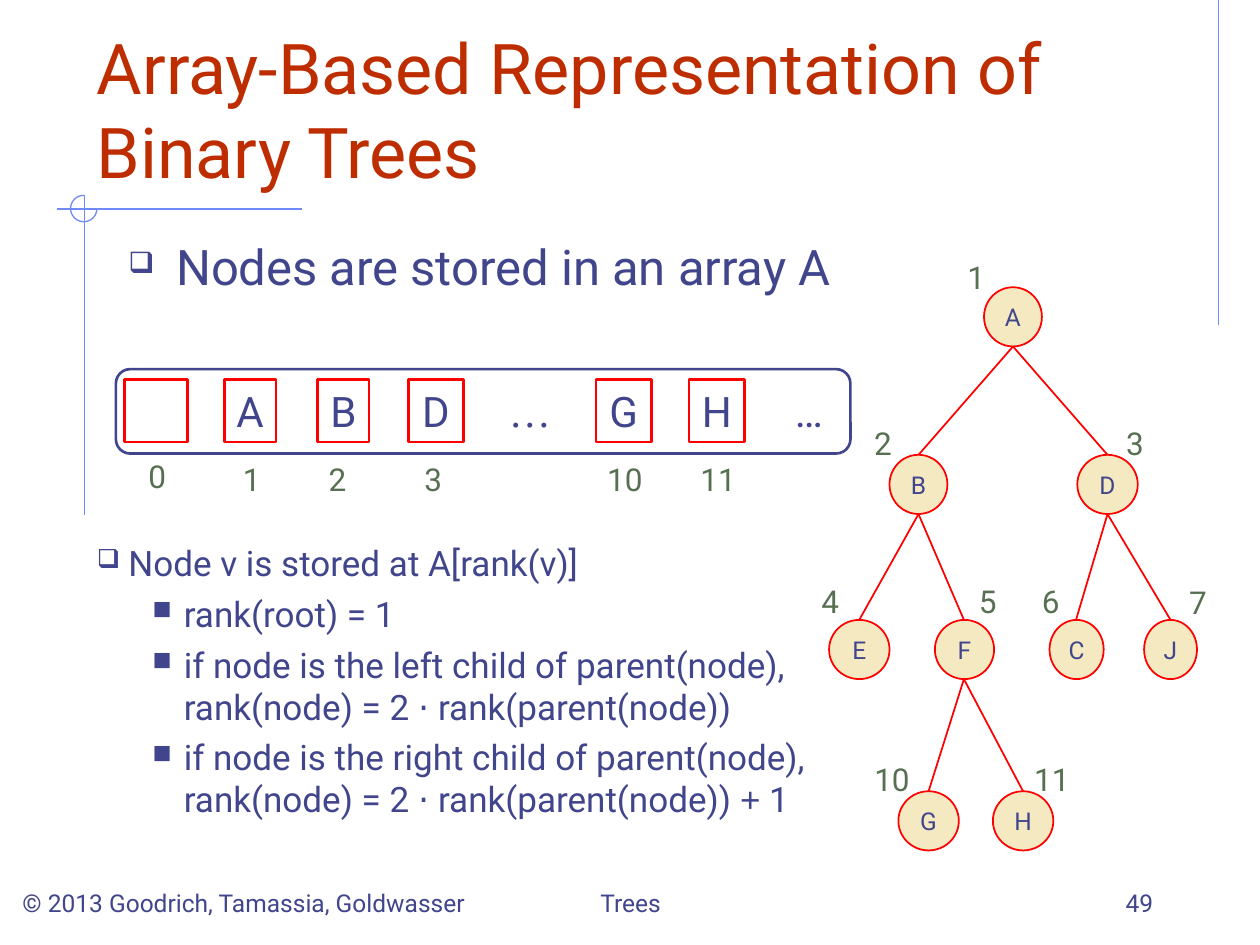
from dataclasses import dataclass
from typing import NamedTuple, Optional

from lxml.etree import SubElement
from pptx import Presentation
from pptx.dml.color import RGBColor as Color
from pptx.enum.shapes import MSO_CONNECTOR as Connector, MSO_SHAPE as Preset
from pptx.enum.text import MSO_ANCHOR as Anchor, PP_ALIGN as Align
from pptx.oxml.ns import qn
from pptx.util import Pt

EMU_PER_PX = 9144


@dataclass(frozen=True)
class Theme:
    title: str = "BE2D00"
    ink: str = "40458C"
    rank: str = "577052"
    rule: str = "6F89F7"
    edge: str = "FF0000"
    node: str = "F4E9C1"
    font: str = "Roboto"
    symbol_font: str = "Arial"
    serif_font: str = "Times New Roman"
    title_size: int = 40
    heading_size: int = 28
    cell_size: int = 24
    body_size: int = 20
    rank_size: int = 18
    small_size: int = 14


THEME = Theme()


class Box(NamedTuple):
    left: int
    top: int
    width: int
    height: int


class Style(NamedTuple):
    size: int
    color: str = THEME.ink
    align: Align = Align.LEFT
    anchor: Anchor = Anchor.TOP
    wrap: bool = True


class Bullet(NamedTuple):
    mark: str
    margin: int
    hanging: int
    percent: int


class TextRun(NamedTuple):
    text: str
    font: str = THEME.font


class Item(NamedTuple):
    bullet: Bullet
    lines: list[list[TextRun]]


class TreeNode(NamedTuple):
    rank: int
    letter: str
    box: Box
    label_left: int
    label_top: int


class Cell(NamedTuple):
    text: str
    left: int
    width: int
    rank: Optional[int] = None
    rank_left: int = 0
    font: str = THEME.font


def px(length: int) -> int:
    return length * EMU_PER_PX


def add_run(paragraph, run: TextRun, style: Style) -> None:
    text_run = paragraph.add_run()
    text_run.text = run.text
    text_run.font.name = run.font
    text_run.font.size = Pt(style.size)
    text_run.font.color.rgb = Color.from_string(style.color)


def prepare_frame(shape, style: Style):
    frame = shape.text_frame
    frame.word_wrap = style.wrap
    frame.vertical_anchor = style.anchor
    frame.paragraphs[0].alignment = style.align
    return frame


def write(shape, run: TextRun, style: Style) -> None:
    add_run(prepare_frame(shape, style).paragraphs[0], run, style)


def add_text(slide, box: Box, run: TextRun, style: Style) -> None:
    write(slide.shapes.add_textbox(*map(px, box)), run, style)


def set_bullet(paragraph, bullet: Bullet) -> None:
    properties = paragraph._p.get_or_add_pPr()
    properties.set("marL", str(px(bullet.margin)))
    properties.set("indent", str(-px(bullet.hanging)))
    color = SubElement(properties, qn("a:buClr"))
    SubElement(color, qn("a:srgbClr"), val=THEME.ink)
    SubElement(properties, qn("a:buSzPct"), val=str(bullet.percent * 1000))
    SubElement(properties, qn("a:buChar"), char=bullet.mark)


def add_list(slide, box: Box, items: list[Item], style: Style) -> None:
    frame = prepare_frame(slide.shapes.add_textbox(*map(px, box)), style)
    for position, item in enumerate(items):
        paragraph = frame.add_paragraph() if position else frame.paragraphs[0]
        set_bullet(paragraph, item.bullet)
        if position:
            paragraph.level = 1
            paragraph.space_before = Pt(5)
        for number, line in enumerate(item.lines):
            if number:
                paragraph.add_line_break()
            for run in line:
                add_run(paragraph, run, style)


def add_outline(slide, preset: Preset, box: Box, color: str, weight: float, fill: Optional[str] = None):
    shape = slide.shapes.add_shape(preset, *map(px, box))
    shape.shadow.inherit = False
    shape.line.color.rgb = Color.from_string(color)
    shape.line.width = Pt(weight)
    if fill:
        shape.fill.solid()
        shape.fill.fore_color.rgb = Color.from_string(fill)
    else:
        shape.fill.background()
    return shape


def add_line(slide, start: tuple[int, int], end: tuple[int, int], color: str, weight: float) -> None:
    line = slide.shapes.add_connector(Connector.STRAIGHT, *map(px, start + end))
    line.line.color.rgb = Color.from_string(color)
    line.line.width = Pt(weight)
    SubElement(line._element.spPr, qn("a:effectLst"))


def add_rank(slide, rank: int, left: int, top: int) -> None:
    width = 20 + 14 * len(str(rank))
    style = Style(THEME.rank_size, THEME.rank, wrap=False)
    add_text(slide, Box(left, top, width, 40), TextRun(str(rank)), style)


def add_tree(slide, nodes: list[TreeNode]) -> None:
    boxes = {node.rank: node.box for node in nodes}
    style = Style(THEME.small_size, align=Align.CENTER, anchor=Anchor.MIDDLE, wrap=False)
    for node in nodes:
        ellipse = add_outline(slide, Preset.OVAL, node.box, THEME.edge, 1, THEME.node)
        write(ellipse, TextRun(node.letter), style)
        add_rank(slide, node.rank, node.label_left, node.label_top)
        parent = boxes.get(node.rank // 2)
        if parent:
            start = (parent.left + parent.width // 2, parent.top + parent.height)
            end = (node.box.left + node.box.width // 2, node.box.top)
            add_line(slide, start, end, THEME.edge, 1)


def add_array(slide, cells: list[Cell]) -> None:
    frame = add_outline(slide, Preset.ROUNDED_RECTANGLE, Box(92, 293, 583, 67), THEME.ink, 1.5)
    frame.adjustments[0] = 0.17
    style = Style(THEME.cell_size, align=Align.CENTER, anchor=Anchor.MIDDLE, wrap=False)
    for cell in cells:
        box = Box(cell.left, 301, cell.width, 50)
        run = TextRun(cell.text, cell.font)
        if cell.rank is None:
            add_text(slide, box, run, style)
            continue
        square = add_outline(slide, Preset.RECTANGLE, box, THEME.edge, 1.5)
        if cell.text:
            write(square, run, style)
        add_rank(slide, cell.rank, cell.rank_left, 360 if cell.rank else 358)


def add_ornament(slide) -> None:
    for start, end in [((967, 0), (967, 258)), ((240, 166), (45, 166)), ((67, 155), (67, 409))]:
        add_line(slide, start, end, THEME.rule, 0.75)
    arc = add_outline(slide, Preset.ARC, Box(56, 155, 21, 21), THEME.rule, 0.75)
    arc.adjustments[0] = 0
    arc.adjustments[1] = 162


NODES = [
    TreeNode(1, "A", Box(781, 228, 46, 47), 758, 200),
    TreeNode(2, "B", Box(706, 361, 46, 47), 684, 332),
    TreeNode(3, "D", Box(855, 361, 48, 47), 884, 332),
    TreeNode(4, "E", Box(658, 492, 48, 47), 642, 457),
    TreeNode(5, "F", Box(742, 492, 47, 47), 767, 457),
    TreeNode(6, "C", Box(833, 492, 43, 47), 817, 457),
    TreeNode(7, "J", Box(908, 492, 42, 47), 934, 458),
    TreeNode(10, "G", Box(713, 628, 48, 47), 684, 598),
    TreeNode(11, "H", Box(788, 628, 48, 47), 811, 598),
]
CELLS = [
    Cell("", 99, 50, 0, 108),
    Cell("A", 178, 41, 1, 183),
    Cell("B", 252, 41, 2, 251),
    Cell("D", 324, 44, 3, 327),
    Cell("…", 394, 53, font=THEME.serif_font),
    Cell("G", 473, 44, 10, 472),
    Cell("H", 547, 44, 11, 546),
    Cell("…", 619, 46),
]
HEADING_BULLET = Bullet("❑", 38, 38, 60)
RULE_BULLET = Bullet("❑", 25, 25, 75)
CASE_BULLET = Bullet("■", 69, 25, 75)
DOT = TextRun("⋅", THEME.symbol_font)
DOUBLE = [TextRun("rank(node) = 2 "), DOT]
HEADING = [Item(HEADING_BULLET, [[TextRun("Nodes are stored in an array A")]])]
RULES = [
    Item(RULE_BULLET, [[TextRun("Node v is stored at A[rank(v)]")]]),
    Item(CASE_BULLET, [[TextRun("rank(root) = 1")]]),
    Item(CASE_BULLET, [[TextRun("if node is the left child of parent(node),")],
                       DOUBLE + [TextRun(" rank(parent(node))")]]),
    Item(CASE_BULLET, [[TextRun("if node is the right child of parent(node),")],
                       DOUBLE + [TextRun(" rank(parent(node)) "), TextRun("+", THEME.symbol_font), TextRun(" 1")]]),
]
FOOTERS = [
    (Box(8, 683, 392, 50), "© 2013 Goodrich, Tamassia, Goldwasser", Align.LEFT),
    (Box(342, 683, 317, 50), "Trees", Align.CENTER),
    (Box(717, 683, 208, 50), "49", Align.RIGHT),
]


def main() -> None:
    presentation = Presentation()
    presentation.slide_width, presentation.slide_height = px(1000), px(750)
    slide = presentation.slides.add_slide(presentation.slide_layouts[6])
    add_ornament(slide)
    add_text(slide, Box(67, 33, 850, 125), TextRun("Array-Based Representation of Binary Trees"),
             Style(THEME.title_size, THEME.title, anchor=Anchor.BOTTOM))
    add_list(slide, Box(92, 183, 850, 67), HEADING, Style(THEME.heading_size))
    add_list(slide, Box(67, 425, 658, 233), RULES, Style(THEME.body_size))
    for box, text, align in FOOTERS:
        add_text(slide, box, TextRun(text), Style(THEME.small_size, align=align, anchor=Anchor.BOTTOM))
    add_tree(slide, NODES)
    add_array(slide, CELLS)
    presentation.save("out.pptx")


if __name__ == "__main__":
    main()
